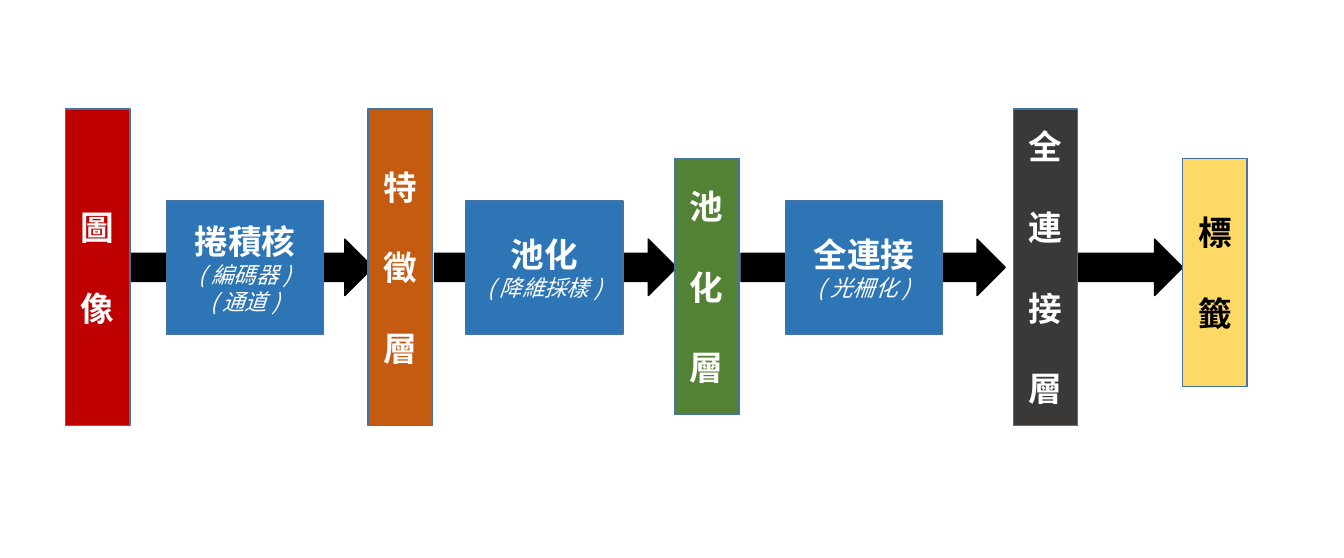
from pptx import Presentation
from pptx.dml.color import RGBColor
from pptx.enum.shapes import MSO_SHAPE
from pptx.enum.text import MSO_ANCHOR, PP_ALIGN
from pptx.oxml.ns import qn
from pptx.util import Inches, Pt

FONT = "Noto Sans CJK SC"
BLACK = RGBColor(0x00, 0x00, 0x00)
WHITE = RGBColor(0xFF, 0xFF, 0xFF)
OUTLINE = RGBColor(0x43, 0x73, 0x9E)
RED = RGBColor(0xC0, 0x00, 0x00)
BLUE = RGBColor(0x2E, 0x75, 0xB6)
ORANGE = RGBColor(0xC5, 0x5A, 0x11)
GREEN = RGBColor(0x54, 0x82, 0x35)
CHARCOAL = RGBColor(0x3B, 0x38, 0x38)
YELLOW = RGBColor(0xFF, 0xD9, 0x66)

MIDLINE = 2.65
LAYER_WIDTH = 0.64
STEP_WIDTH, STEP_HEIGHT = 1.56, 1.32
ARROW_HEIGHT = 0.56
LINE_RATIO = 1.2


def add_block(slide, preset, box, fill, outline):
    block = slide.shapes.add_shape(preset, *(Inches(length) for length in box))
    block.shadow.inherit = False
    block.fill.solid()
    block.fill.fore_color.rgb = fill
    block.line.color.rgb = outline
    block.line.width = Pt(1)
    return block


def write_lines(block, lines, color, gap=0):
    """Each line is (text, size, is_heading); gap is the space between lines."""
    frame = block.text_frame
    frame.word_wrap = True
    frame.vertical_anchor = MSO_ANCHOR.MIDDLE
    for index, (text, size, is_heading) in enumerate(lines):
        paragraph = frame.add_paragraph() if index else frame.paragraphs[0]
        paragraph.alignment = PP_ALIGN.CENTER
        paragraph.line_spacing = Pt(size * LINE_RATIO)
        paragraph.space_before = Pt(gap if index else 0)
        run = paragraph.add_run()
        run.text = text
        font = run.font
        font.name = FONT
        font.size = Pt(size)
        font.bold = is_heading
        font.italic = not is_heading
        font.color.rgb = color
        # East Asian typeface for the Chinese characters
        east_asian = run._r.get_or_add_rPr().makeelement(
            qn("a:ea"), {"typeface": FONT})
        run._r.rPr.find(qn("a:latin")).addnext(east_asian)


def add_arrow(slide, left, width):
    box = (left, MIDLINE - ARROW_HEIGHT / 2, width, ARROW_HEIGHT)
    add_block(slide, MSO_SHAPE.RIGHT_ARROW, box, BLACK, BLACK)


def add_layer(slide, label, left, top, height, fill, color=WHITE):
    box = (left, top, LAYER_WIDTH, height)
    layer = add_block(slide, MSO_SHAPE.RECTANGLE, box, fill, OUTLINE)
    write_lines(layer, [(character, 24, True) for character in label], color,
                gap=24 * LINE_RATIO)


def add_step(slide, left, heading, *details):
    box = (left, MIDLINE - STEP_HEIGHT / 2, STEP_WIDTH, STEP_HEIGHT)
    step = add_block(slide, MSO_SHAPE.RECTANGLE, box, BLUE, OUTLINE)
    lines = [(heading, 24, True)] + [(f"( {detail} )", 16, False) for detail in details]
    write_lines(step, lines, WHITE)


def build_network(slide):
    # Arrows run behind the blocks
    for left, width in [(1.3, 2.4), (4.31, 2.4), (7.35, 2.62), (10.69, 1.04)]:
        add_arrow(slide, left, width)

    # Layers: label, left, top, height, fill
    add_layer(slide, "圖像", 0.65, 1.08, 3.14, RED)
    add_layer(slide, "特徵層", 3.65, 1.08, 3.14, ORANGE)
    add_layer(slide, "池化層", 6.69, 1.57, 2.54, GREEN)
    add_layer(slide, "全連接層", 10.05, 1.08, 3.14, CHARCOAL)
    add_layer(slide, "標籤", 11.73, 1.57, 2.26, YELLOW, BLACK)

    # Operations between layers
    add_step(slide, 1.65, "捲積核", "編碼器", "通道")
    add_step(slide, 4.62, "池化", "降維採樣")
    add_step(slide, 7.79, "全連接", "光柵化")


presentation = Presentation()
presentation.slide_width = Inches(13.33)
presentation.slide_height = Inches(5.53)
build_network(presentation.slides.add_slide(presentation.slide_layouts[6]))
presentation.save("out.pptx")
